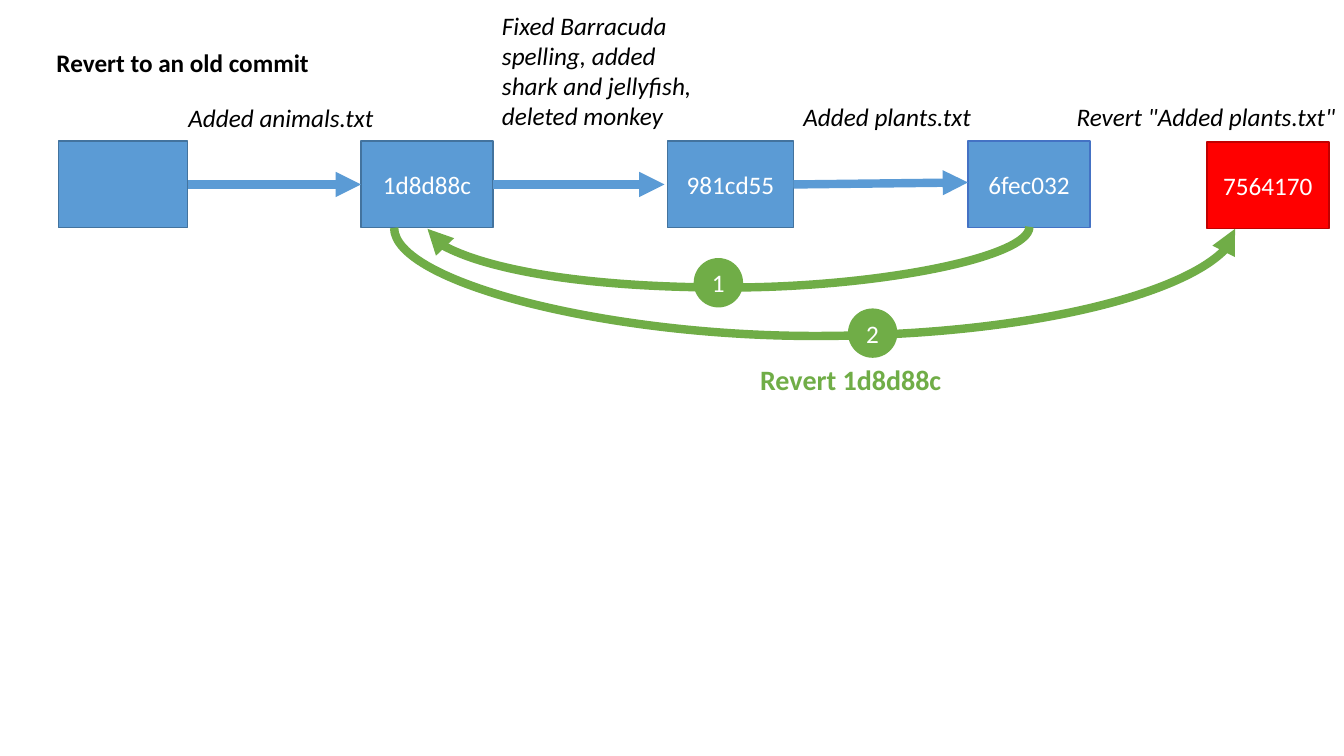
from pptx import Presentation
from pptx import util as u
from pptx.dml.color import RGBColor
from pptx.enum import shapes, text
from pptx.oxml import ns
from lxml import etree

COLORS = {"blue": "5B9BD5", "blue_edge": "43739E", "indigo_edge": "4472C4",
          "red": "FF0000", "red_edge": "C00000", "green": "70AD47",
          "black": "000000", "white": "FFFFFF"}
ALIGN, ANCHOR = text.PP_ALIGN, text.MSO_ANCHOR


def write(sp, content, size=18, color="black", bold=False, italic=False,
          align=ALIGN.LEFT, anchor=ANCHOR.TOP, wrap=False):
    tf = sp.text_frame
    tf.word_wrap = wrap
    tf.vertical_anchor = anchor
    p = tf.paragraphs[0]
    p.alignment = align
    r = p.add_run()
    r.text = content
    r.font.name = "Calibri"
    r.font.size = u.Pt(size)
    r.font.bold = bold
    r.font.italic = italic
    r.font.color.rgb = RGBColor.from_string(COLORS[color])


def style_arrow(arrow, color, end="tailEnd"):
    arrow.line.color.rgb = RGBColor.from_string(COLORS[color])
    arrow.line.width = u.Pt(6)
    etree.SubElement(arrow.line._get_or_add_ln(), ns.qn(f"a:{end}"), type="triangle")
    etree.SubElement(arrow._element.spPr, ns.qn("a:effectLst"))


prs = Presentation()
prs.slide_width, prs.slide_height = u.Inches(13.33), u.Inches(7.5)
s = prs.slides.add_slide(prs.slide_layouts[5])

# Title
title = s.shapes.title
title.left, title.top = u.Inches(0.46), u.Inches(0.42)
title.width, title.height = u.Inches(2.73), u.Inches(0.4)
title.text_frame.auto_size = text.MSO_AUTO_SIZE.NONE
write(title, "Revert to an old commit", bold=True)

# Commit boxes
commits = []
for left, top, width, name, fill, edge in [
        (0.58, 1.4, 1.28, "", "blue", "blue_edge"),
        (3.58, 1.4, 1.31, "1d8d88c", "blue", "blue_edge"),
        (6.62, 1.4, 1.25, "981cd55", "blue", "blue_edge"),
        (9.6, 1.4, 1.21, "6fec032", "blue", "indigo_edge"),
        (11.97, 1.41, 1.21, "7564170", "red", "red_edge")]:
    sp = s.shapes.add_shape(shapes.MSO_SHAPE.RECTANGLE, u.Inches(left),
                            u.Inches(top), u.Inches(width), u.Inches(0.86))
    sp.shadow.inherit = False
    sp.fill.solid()
    sp.fill.fore_color.rgb = RGBColor.from_string(COLORS[fill])
    sp.line.color.rgb = RGBColor.from_string(COLORS[edge])
    sp.line.width = u.Pt(1)
    if name:
        write(sp, name, color="white", align=ALIGN.CENTER, anchor=ANCHOR.MIDDLE, wrap=True)
    commits.append(sp)

# Commit messages and revert caption
for left, top, width, height, content, fmt in [
        (1.77, 0.97, 2.05, 0.4, "Added animals.txt", {"italic": True}),
        (4.88, 0.05, 2.18, 1.31,
         "Fixed Barracuda spelling, added shark and jellyfish, deleted monkey",
         {"italic": True, "wrap": True}),
        (7.87, 0.96, 1.88, 0.4, "Added plants.txt", {"italic": True}),
        (10.58, 0.96, 2.82, 0.4, 'Revert "Added plants.txt"', {"italic": True}),
        (7.44, 3.55, 2.02, 0.44, "Revert 1d8d88c",
         {"size": 20, "color": "green", "bold": True})]:
    box = s.shapes.add_textbox(u.Inches(left), u.Inches(top),
                               u.Inches(width), u.Inches(height))
    write(box, content, **fmt)

# History arrows; only the first one meets the middle of its target's side
for i, (x0, x1, y1) in enumerate([(1.86, 3.58, 1.83), (4.89, 6.59, 1.83), (7.87, 9.6, 1.81)]):
    arrow = s.shapes.add_connector(shapes.MSO_CONNECTOR.STRAIGHT, u.Inches(x0),
                                   u.Inches(1.83), u.Inches(x1), u.Inches(y1))
    arrow.begin_connect(commits[i], 3)
    if i == 0:
        arrow.end_connect(commits[1], 1)
    style_arrow(arrow, "blue")

# Revert arcs: curves turned by 90 degrees, running right to left and sagging by depth
for x0, y0, x1, y1, depth, end in [(10.21, 2.25, 4.24, 2.27, 0.6, "tailEnd"),
                                   (12.25, 2.27, 3.91, 2.26, 1.08, "headEnd")]:
    span, rise = x0 - x1, abs(y1 - y0)
    left, top = (x0 + x1 - rise) / 2, (y0 + y1 - span) / 2
    arc = s.shapes.add_connector(shapes.MSO_CONNECTOR.CURVE, u.Inches(left), u.Inches(top),
                                 u.Inches(left + rise), u.Inches(top + span))
    xfrm = arc._element.spPr.find(ns.qn("a:xfrm"))
    xfrm.set("rot", str(90 * 60000))
    if y0 > y1:
        xfrm.set("flipH", "1")
    adj = round(depth / (y1 - y0) * 100000)
    guides = arc._element.spPr.find(ns.qn("a:prstGeom")).find(ns.qn("a:avLst"))
    etree.SubElement(guides, ns.qn("a:gd"), name="adj1", fmla=f"val {adj}")
    style_arrow(arc, "green", end)

# Step numbers
for left, top, step in [(6.88, 2.56, "1"), (8.41, 3.06, "2")]:
    sp = s.shapes.add_shape(shapes.MSO_SHAPE.OVAL, u.Inches(left), u.Inches(top),
                            u.Inches(0.49), u.Inches(0.49))
    sp.shadow.inherit = False
    sp.fill.solid()
    sp.fill.fore_color.rgb = RGBColor.from_string(COLORS["green"])
    sp.line.fill.background()
    write(sp, step, color="white", align=ALIGN.CENTER, anchor=ANCHOR.MIDDLE, wrap=True)

prs.save("out.pptx")
